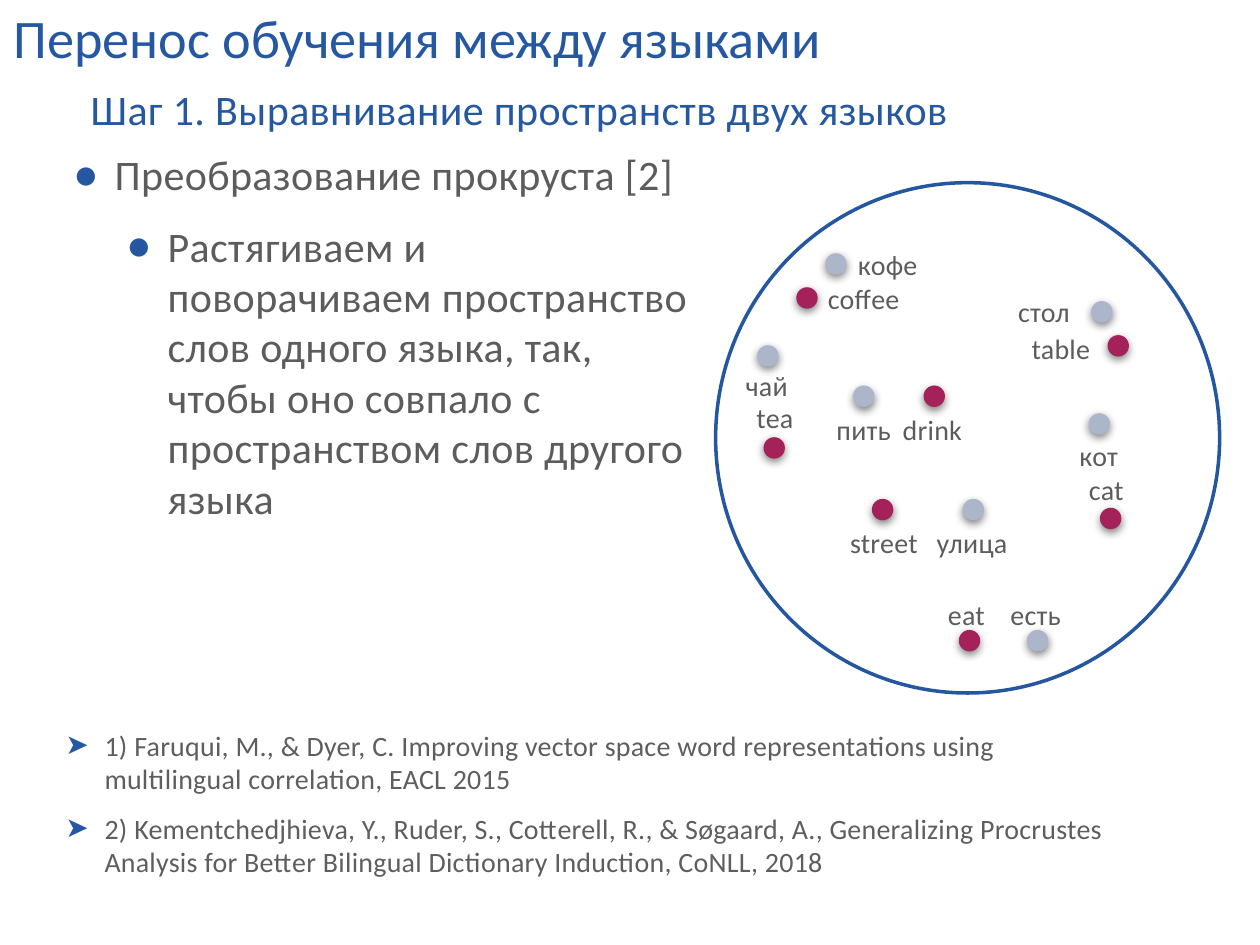
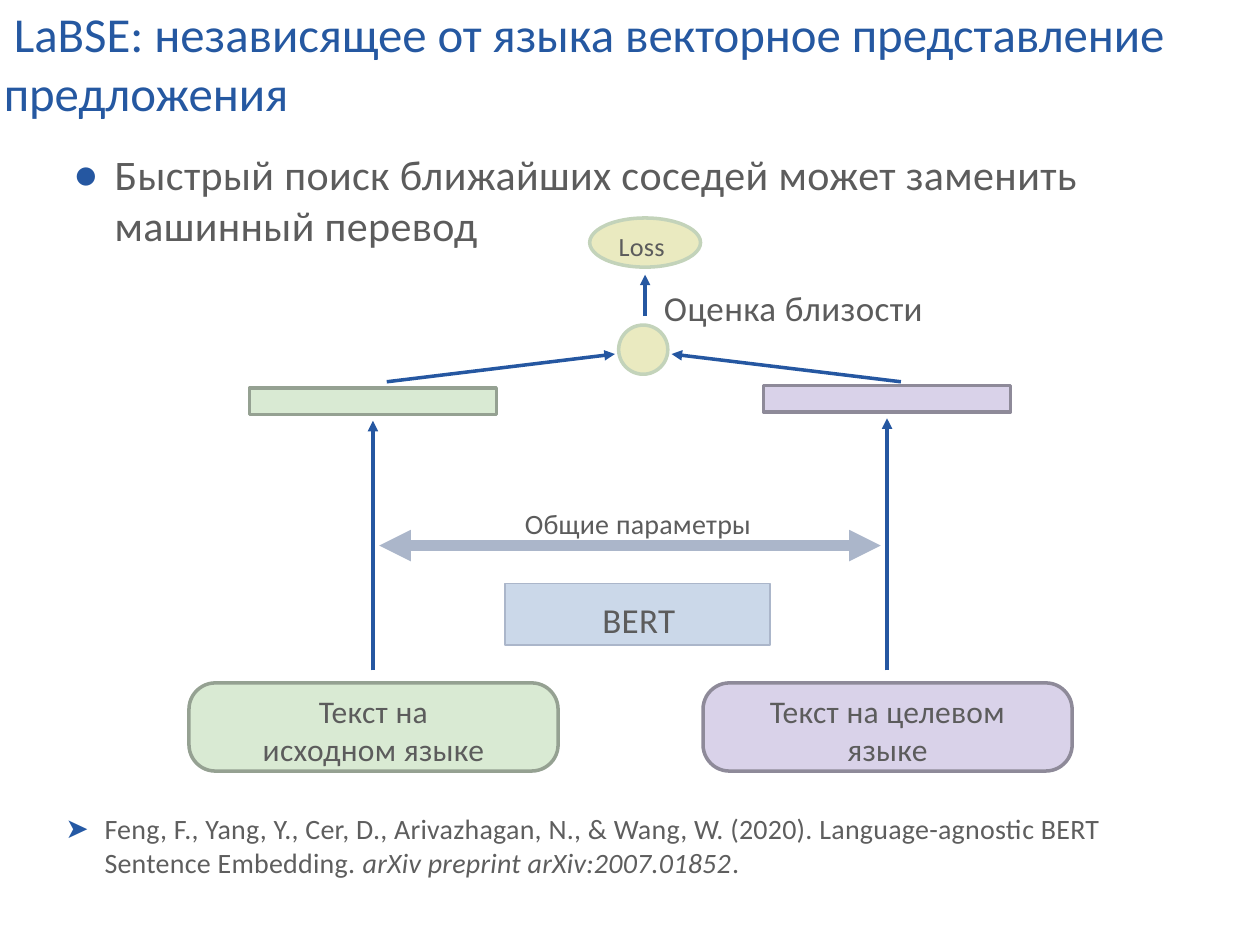
import pptx
import pptx.util
import pptx.dml.color
import pptx.enum.shapes
import pptx.enum.text
import pptx.oxml
import pptx.oxml.ns
import lxml.etree as etree

Inches = pptx.util.Inches
Pt = pptx.util.Pt
RGB = pptx.dml.color.RGBColor
SHAPE = pptx.enum.shapes.MSO_SHAPE
ANCHOR = pptx.enum.text.MSO_ANCHOR
ALIGN = pptx.enum.text.PP_ALIGN
AUTO_SIZE = pptx.enum.text.MSO_AUTO_SIZE
qn = pptx.oxml.ns.qn

FONT = "Calibri"
BLUE = RGB(0x25, 0x57, 0xA1)
TITLE_BLUE = RGB(0x25, 0x58, 0xA1)
ARROW_BULLET = RGB(0x25, 0x59, 0xA4)
GRAY = RGB(0x5C, 0x5C, 0x5C)
SOURCE_GRAY = RGB(0x5E, 0x5E, 0x5E)
STEEL = RGB(0xAB, 0xB6, 0xCA)
CRIMSON = RGB(0xA4, 0x21, 0x59)
SAND = RGB(0xEA, 0xEA, 0xC0)
SAND_EDGE = RGB(0xC3, 0xD3, 0xBA)
PALE_BLUE = RGB(0xCB, 0xD8, 0xE9)
GREEN = RGB(0xD9, 0xEA, 0xD3)
GREEN_EDGE = RGB(0x95, 0xA1, 0x92)
VIOLET = RGB(0xD9, 0xD2, 0xE9)
VIOLET_EDGE = RGB(0x8E, 0x8A, 0x99)

ALIGNMENT_TITLE = "Перенос обучения между языками"
STEP = "Шаг 1. Выравнивание пространств двух языков"
ALIGNMENT_POINTS = [
    (0, "Преобразование прокруста [2]"),
    (1, "Растягиваем и поворачиваем пространство слов одного языка, так, "
        "чтобы оно совпало с пространством слов другого языка"),
]
ALIGNMENT_SOURCES = [
    [("1) Faruqui, M., & Dyer, C. Improving vector space word representations "
      "using multilingual correlation, EACL 2015", False)],
    [("2) Kementchedjhieva, Y., Ruder, S., Cotterell, R., & Søgaard, A., "
      "Generalizing Procrustes Analysis for Better Bilingual Dictionary "
      "Induction, CoNLL, 2018", False)],
]
RUSSIAN_WORDS = [
    ("стол", 8.66, 2.39, 8.01, 2.31, 0.55),
    ("кот", 8.64, 3.28, 8.5, 3.45, 0.44),
    ("есть", 8.15, 5, 7.95, 4.71, 0.54),
    ("пить", 6.77, 3.06, 6.57, 3.24, 0.57),
    ("чай", 6.01, 2.74, 5.85, 2.89, 0.47),
    ("кофе", 6.55, 2.01, 6.74, 1.93, 0.61),
    ("улица", 7.64, 3.96, 7.37, 4.14, 0.69),
]
ENGLISH_WORDS = [
    ("table", 8.79, 2.66, 8.12, 2.6, 0.6),
    ("сat", 8.73, 4.03, 8.58, 3.72, 0.4),
    ("eat", 7.61, 5, 7.46, 4.71, 0.42),
    ("drink", 7.33, 3.06, 7.1, 3.24, 0.6),
    ("tea", 6.06, 3.47, 5.94, 3.15, 0.42),
    ("coffee", 6.32, 2.28, 6.51, 2.2, 0.69),
    ("street", 6.92, 3.96, 6.67, 4.14, 0.69),
]

LABSE_TITLE = "LaBSE: независящее от языка векторное представление предложения"
LABSE_POINTS = [(0, "Быстрый поиск ближайших соседей может заменить машинный перевод")]
LABSE_SOURCES = [
    [("Feng, F., Yang, Y., Cer, D., Arivazhagan, N., & Wang, W. (2020). "
      "Language-agnostic BERT Sentence Embedding. ", False),
     ("arXiv preprint arXiv:2007.01852", True), (".", False)],
]
LABSE_LABELS = [
    ("Loss", (4.88, 1.8, 0.46, 0.26), 15, ALIGN.LEFT),
    ("Оценка близости", (5.24, 2.24, 2.44, 0.33), 20, ALIGN.LEFT),
    ("Общие параметры", (4.05, 3.99, 2.03, 0.27), 16, ALIGN.CENTER),
    ("BERT", (4.31, 4.72, 1.52, 0.33), 20, ALIGN.CENTER),
]
ENCODERS = [
    ("Текст на исходном языке", 2.96, 3.08, GREEN, GREEN_EDGE, (3.07, 4.88)),
    ("Текст на целевом языке", 7.04, 3.06, VIOLET, VIOLET_EDGE, (7.15, 5.33)),
]


def inches(*lengths):
    return [Inches(length) for length in lengths]


def set_frame(tf, inset=0.03, anchor=ANCHOR.TOP, wrap=True):
    tf.word_wrap = wrap
    tf.auto_size = AUTO_SIZE.NONE if wrap else AUTO_SIZE.SHAPE_TO_FIT_TEXT
    tf.vertical_anchor = anchor
    tf.margin_left = tf.margin_right = tf.margin_top = tf.margin_bottom = Inches(inset)


def style_run(r, size, color, spaced=True, italic=False):
    r.font.name = FONT
    r.font.size = Pt(size)
    r.font.color.rgb = color
    r.font.italic = italic
    if spaced:
        r._r.get_or_add_rPr().set("spc", str(size))


def add_text(s, text, box, size, color=GRAY, align=ALIGN.LEFT, **frame):
    tf = s.shapes.add_textbox(*inches(*box)).text_frame
    set_frame(tf, **frame)
    tf.text = text
    p = tf.paragraphs[0]
    p.alignment = align
    style_run(p.runs[0], size, color)


def set_bullet(p, char, color, margin, hang, percent=100):
    pPr = p._p.get_or_add_pPr()
    pPr.set("marL", str(Inches(margin)))
    pPr.set("indent", str(-Inches(hang)))
    clr = etree.SubElement(pPr, qn("a:buClr"))
    etree.SubElement(clr, qn("a:srgbClr"), val=str(color))
    etree.SubElement(pPr, qn("a:buSzPct"), val=str(percent * 1000))
    etree.SubElement(pPr, qn("a:buFont"), typeface=FONT)
    etree.SubElement(pPr, qn("a:buChar"), char=char)


def add_paragraphs(tf, items):
    for i, item in enumerate(items):
        yield (tf.add_paragraph() if i else tf.paragraphs[0]), item, i > 0


def add_points(s, points, box):
    tf = s.shapes.add_textbox(*inches(*box)).text_frame
    set_frame(tf)
    for p, (level, text), follows in add_paragraphs(tf, points):
        p.text = text
        p.level = level
        set_bullet(p, "•", BLUE, 0.33 + 0.42 * level, 0.33, 123)
        if follows:
            p.space_before = Pt(12)
        style_run(p.runs[0], 24, GRAY)


def add_sources(s, sources, box):
    tf = s.shapes.add_textbox(*inches(*box)).text_frame
    set_frame(tf, anchor=ANCHOR.MIDDLE)
    for p, parts, follows in add_paragraphs(tf, sources):
        set_bullet(p, "➤", ARROW_BULLET, 0.31, 0.31)
        if follows:
            p.space_before = Pt(9)
        for text, italic in parts:
            r = p.add_run()
            r.text = text
            style_run(r, 16, SOURCE_GRAY, italic=italic)


def add_figure(s, kind, box, fill=None, edge=None, width=2):
    sp = s.shapes.add_shape(kind, *inches(*box))
    sp.shadow.inherit = False
    if fill is None:
        sp.fill.background()
    else:
        sp.fill.solid()
        sp.fill.fore_color.rgb = fill
    if edge is None:
        sp.line.fill.background()
    else:
        sp.line.color.rgb = edge
        sp.line.width = Pt(width)
    return sp


def add_dot(s, left, top, color):
    sp = add_figure(s, SHAPE.OVAL, (left, top, 0.17, 0.17), color)
    effects = sp._element.spPr.find(qn("a:effectLst"))
    shadow = etree.SubElement(effects, qn("a:outerShdw"), blurRad=str(Pt(5)),
                              dist=str(Pt(2)), dir="5400000", rotWithShape="0")
    black = etree.SubElement(shadow, qn("a:srgbClr"), val="000000")
    etree.SubElement(black, qn("a:alpha"), val="50000")


def add_arrow(s, start, end, color=BLUE, width=2, both=False):
    c = s.shapes.add_connector(pptx.enum.shapes.MSO_CONNECTOR.STRAIGHT,
                               *inches(*start, *end))
    c.line.color.rgb = color
    c.line.width = Pt(width)
    ln = c.line._get_or_add_ln()
    for end_name in ("headEnd", "tailEnd") if both else ("tailEnd",):
        etree.SubElement(ln, qn("a:" + end_name), type="triangle")
    etree.SubElement(c._element.spPr, qn("a:effectLst"))


def add_slide(prs, title, size):
    s = prs.slides.add_slide(prs.slide_layouts[5])
    sp = s.shapes.title
    sp.left, sp.top, sp.width, sp.height = inches(0, 0, 9.83, 1.05)
    tf = sp.text_frame
    set_frame(tf)
    tf.text = title
    p = tf.paragraphs[0]
    p.alignment = ALIGN.LEFT
    p._p.get_or_add_pPr().set("indent", str(Inches(0.08)))
    style_run(p.runs[0], size, TITLE_BLUE, spaced=False)
    return s


def build_alignment(prs):
    s = add_slide(prs, ALIGNMENT_TITLE, 31)
    add_text(s, STEP, (0.69, 0.63, 8.62, 0.39), 24, TITLE_BLUE)
    add_points(s, ALIGNMENT_POINTS, (0.55, 1.15, 4.98, 2.77))
    add_sources(s, ALIGNMENT_SOURCES, (0.49, 5.78, 8.37, 1.19))
    add_figure(s, SHAPE.OVAL, (5.68, 1.45, 4, 4.05), edge=BLUE)
    for words, color in ((RUSSIAN_WORDS, STEEL), (ENGLISH_WORDS, CRIMSON)):
        for word, dot_left, dot_top, left, top, width in words:
            add_dot(s, dot_left, dot_top, color)
            add_text(s, word, (left, top, width, 0.33), 16, align=ALIGN.CENTER,
                     inset=0.06, anchor=ANCHOR.MIDDLE, wrap=False)


def build_labse(prs):
    s = add_slide(prs, LABSE_TITLE, 27.9)
    add_figure(s, SHAPE.OVAL, (4.68, 1.73, 0.88, 0.39), SAND, SAND_EDGE)
    add_figure(s, SHAPE.RECTANGLE, (4.01, 4.63, 2.1, 0.49), PALE_BLUE, STEEL, 1)
    add_sources(s, LABSE_SOURCES, (0.49, 6.44, 8.37, 0.54))
    add_points(s, LABSE_POINTS, (0.55, 1.15, 8.48, 0.76))
    for text, box, size, align in LABSE_LABELS:
        add_text(s, text, box, size, align=align)
    for text, center, bar_top, fill, edge, (start, end) in ENCODERS:
        sp = add_figure(s, SHAPE.ROUNDED_RECTANGLE,
                        (center - 1.46, 5.42, 2.93, 0.7), fill, edge)
        sp.adjustments[0] = 0.3
        add_text(s, text, (center - 1.01, 5.46, 2.03, 0.61), 18, align=ALIGN.CENTER)
        add_figure(s, SHAPE.RECTANGLE, (center - 0.98, bar_top, 1.96, 0.21), fill, edge)
        add_arrow(s, (center, 5.32), (center, bar_top + 0.26))
        add_arrow(s, (start, 3.03), (end, 2.81))
    add_arrow(s, (3.01, 4.33), (6.99, 4.33), STEEL, 6, both=True)
    add_figure(s, SHAPE.OVAL, (4.91, 2.58, 0.39, 0.39), SAND, SAND_EDGE)
    add_arrow(s, (5.12, 2.51), (5.12, 2.18))


def main():
    prs = pptx.Presentation()
    prs.slide_width, prs.slide_height = inches(10, 7.5)
    build_alignment(prs)
    build_labse(prs)
    prs.save("out.pptx")


if __name__ == "__main__":
    main()
